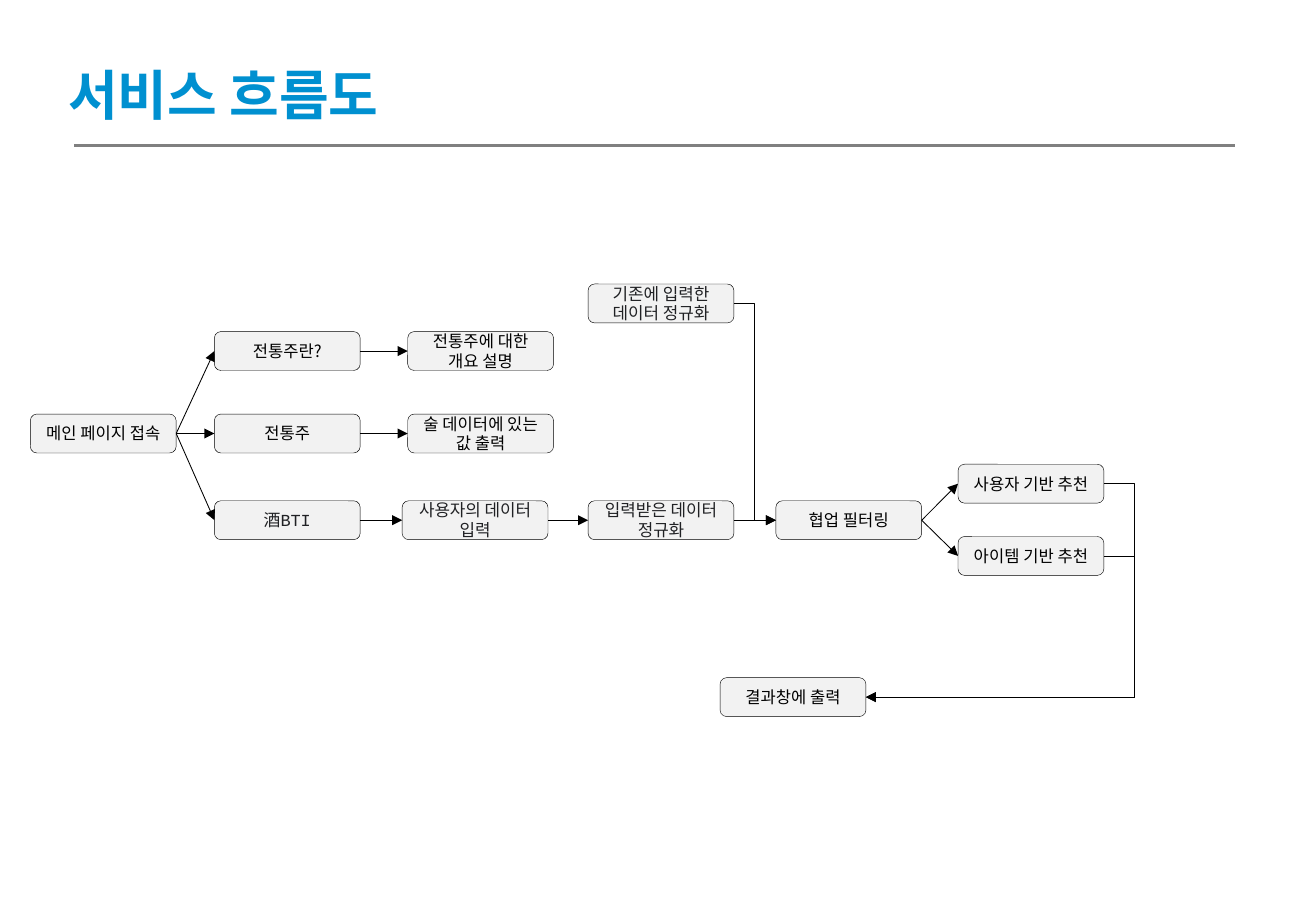
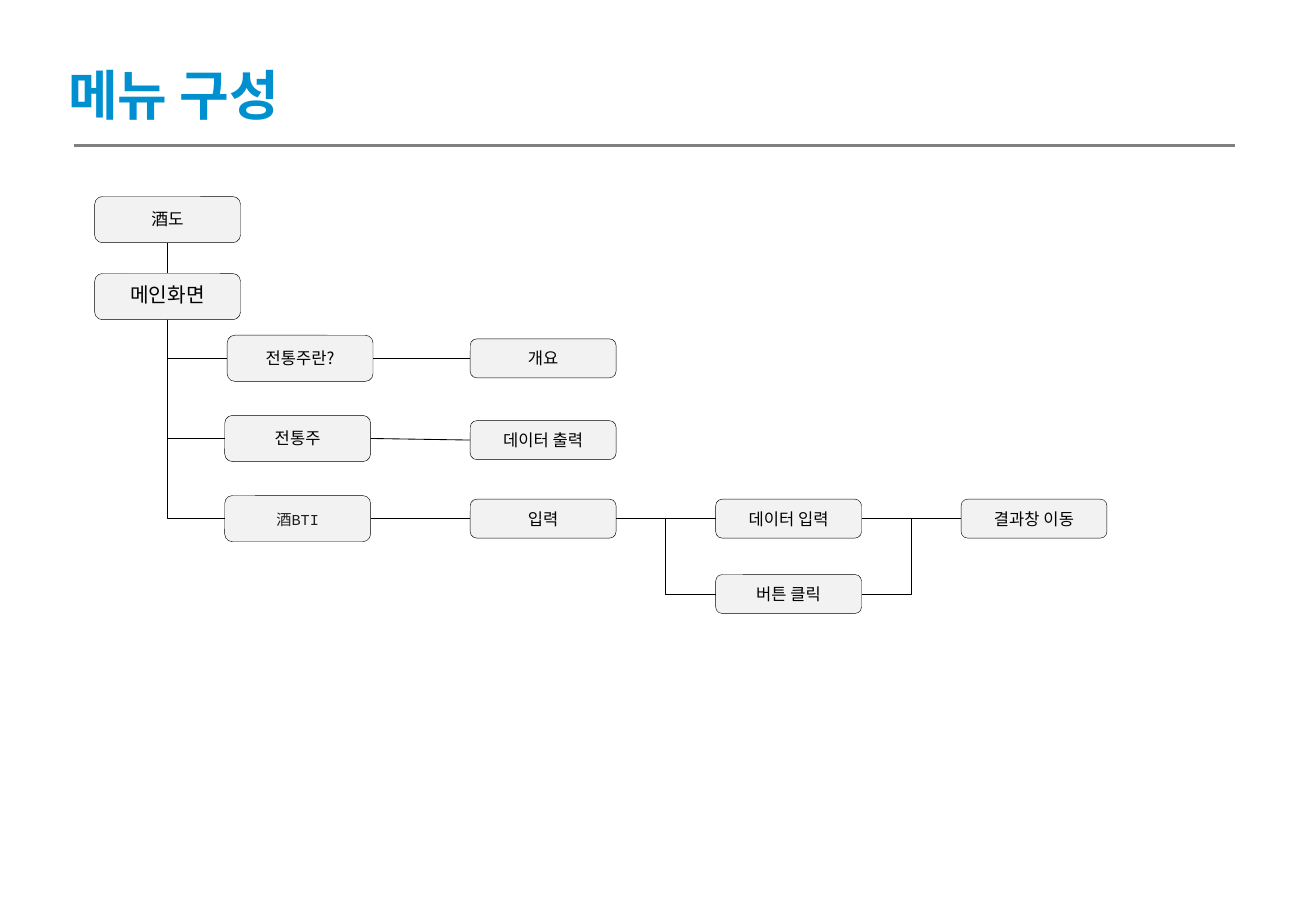
"""Build the service flow and menu structure slides."""
import dataclasses
import typing

import lxml.etree
import pptx
import pptx.dml.color
import pptx.enum.shapes
import pptx.enum.text
import pptx.oxml.ns
import pptx.util

SLIDE_WIDTH, SLIDE_HEIGHT = 10.83, 7.5
BOX_WIDTH = 1.2
LOW, TALL = 0.32, 0.38
TITLE_COLOR, RULE_COLOR = "0090D0", "808080"
BOX_COLOR, BLACK, CHARCOAL = "F2F2F2", "000000", "202124"
KOREAN_FONT, MONO_FONT, TITLE_FONT = "Noto Sans CJK KR", "Courier New", "Calibri"
TOP, LEFT, BOTTOM, RIGHT = range(4)
STRAIGHT = pptx.enum.shapes.MSO_CONNECTOR.STRAIGHT
ELBOW = pptx.enum.shapes.MSO_CONNECTOR.ELBOW
qn = pptx.oxml.ns.qn


@dataclasses.dataclass(frozen=True)
class Label:
    font: str = KOREAN_FONT
    size: float = 9.8
    color: str = BLACK


PLAIN = Label()
MONO = Label(MONO_FONT, 10, CHARCOAL)


@dataclasses.dataclass(frozen=True)
class Step:
    text: str
    column: float
    row: float
    label: Label = PLAIN
    height: float = LOW


@dataclasses.dataclass(frozen=True)
class Link:
    start: str
    end: str
    bent: bool = False
    start_side: int = RIGHT
    end_side: int = LEFT
    bend: typing.Optional[float] = None


@dataclasses.dataclass(frozen=True)
class Grid:
    left: float
    middle: float
    column: float
    row: float


@dataclasses.dataclass(frozen=True)
class Diagram:
    title: str
    grid: Grid
    steps: dict[str, Step]
    links: list[Link]
    arrows: bool


SERVICE_FLOW = Diagram(
    "서비스 흐름도",
    Grid(0.25, 2.89, 1.53, 0.7),
    {
        "main": Step("메인 페이지 접속", 0, 0.97),
        "about": Step("전통주란?", 0.99, 0),
        "liquor": Step("전통주", 0.99, 0.97),
        "bti": Step("酒BTI", 0.99, 1.99, MONO),
        "overview": Step("전통주에 대한 개요 설명", 2.03, 0),
        "values": Step("술 데이터에 있는 값 출력", 2.03, 0.97),
        "entry": Step("사용자의 데이터 입력", 2, 1.99, MONO),
        "received": Step("입력받은 데이터 정규화", 3, 1.99, MONO),
        "existing": Step("기존에 입력한 데이터 정규화", 3, -0.56, MONO),
        "filtering": Step("협업 필터링", 4.01, 1.99),
        "user_based": Step("사용자 기반 추천", 4.99, 1.56),
        "item_based": Step("아이템 기반 추천", 4.99, 2.41),
        "result": Step("결과창에 출력", 3.71, 4.07),
    },
    [
        Link("main", "about"),
        Link("main", "liquor"),
        Link("main", "bti"),
        Link("about", "overview"),
        Link("liquor", "values"),
        Link("bti", "entry"),
        Link("entry", "received"),
        Link("existing", "filtering", True),
        Link("received", "filtering"),
        Link("filtering", "user_based"),
        Link("filtering", "item_based"),
        Link("user_based", "result", True, end_side=RIGHT, bend=-0.13),
        Link("item_based", "result", True, end_side=RIGHT, bend=-0.13),
    ],
    True,
)

MENU = Diagram(
    "메뉴 구성",
    Grid(1.85, 2.95, 2.02, 0.66),
    {
        "brand": Step("酒도", -0.53, -1.73, Label(MONO_FONT, 10), TALL),
        "main": Step("메인화면", -0.53, -0.77, Label(MONO_FONT, 12), TALL),
        "about": Step("전통주란?", 0.01, 0, PLAIN, TALL),
        "liquor": Step("전통주", 0, 1, PLAIN, TALL),
        "bti": Step("酒BTI", 0, 2, Label(MONO_FONT, 9, CHARCOAL), TALL),
        "overview": Step("개요", 1, 0),
        "listing": Step("데이터 출력", 1, 1.02),
        "entry": Step("입력", 1, 2),
        "data_entry": Step("데이터 입력", 2, 2),
        "click": Step("버튼 클릭", 2, 2.94),
        "result": Step("결과창 이동", 3, 2),
    },
    [
        Link("brand", "main", start_side=BOTTOM, end_side=TOP),
        Link("main", "about", True, BOTTOM),
        Link("main", "liquor", True, BOTTOM),
        Link("main", "bti", True, BOTTOM),
        Link("about", "overview"),
        Link("liquor", "listing"),
        Link("bti", "entry"),
        Link("entry", "data_entry"),
        Link("data_entry", "result"),
        Link("entry", "click", True),
        Link("click", "result", True),
    ],
    False,
)


def rgb(color: str) -> pptx.dml.color.RGBColor:
    return pptx.dml.color.RGBColor.from_string(color)


def format_text(frame, label: Label, bold: bool = False) -> None:
    for paragraph in frame.paragraphs:
        for run in paragraph.runs:
            run.font.name = label.font
            run.font.size = pptx.util.Pt(label.size)
            run.font.bold = bold
            run.font.color.rgb = rgb(label.color)
            latin = run.font._element.find(qn("a:latin"))
            east_asian = lxml.etree.Element(qn("a:ea"), typeface=KOREAN_FONT)
            latin.addnext(east_asian)


def style_line(connector, color: str, width: float, arrow: bool = False) -> None:
    connector.line.color.rgb = rgb(color)
    connector.line.width = pptx.util.Pt(width)
    properties = connector.element.spPr
    if arrow:
        line = properties.find(qn("a:ln"))
        lxml.etree.SubElement(line, qn("a:tailEnd"), type="triangle")
    lxml.etree.SubElement(properties, qn("a:effectLst"))


def add_heading(slide, text: str) -> None:
    title = slide.shapes.title
    title.left, title.top = pptx.util.Inches(0.46), pptx.util.Inches(0.45)
    title.width, title.height = pptx.util.Inches(9.7), pptx.util.Inches(0.64)
    frame = title.text_frame
    frame.text = text
    frame.auto_size = pptx.enum.text.MSO_AUTO_SIZE.NONE
    frame.vertical_anchor = pptx.enum.text.MSO_ANCHOR.MIDDLE
    frame.paragraphs[0].alignment = pptx.enum.text.PP_ALIGN.LEFT
    format_text(frame, Label(TITLE_FONT, 32, TITLE_COLOR), True)
    rule = slide.shapes.add_connector(
        STRAIGHT, *map(pptx.util.Inches, (0.61, 1.2, 10.16, 1.2))
    )
    style_line(rule, RULE_COLOR, 1.5)


def add_step(slide, grid: Grid, step: Step):
    left = grid.left + step.column * grid.column
    top = grid.middle + step.row * grid.row - step.height / 2
    box = slide.shapes.add_shape(
        pptx.enum.shapes.MSO_SHAPE.ROUNDED_RECTANGLE,
        *map(pptx.util.Inches, (left, top, BOX_WIDTH, step.height)),
    )
    box.shadow.inherit = False
    box.fill.solid()
    box.fill.fore_color.rgb = rgb(BOX_COLOR)
    box.line.color.rgb = rgb(BLACK)
    box.line.width = pptx.util.Pt(0.25)
    frame = box.text_frame
    frame.text = step.text
    frame.word_wrap = True
    frame.vertical_anchor = pptx.enum.text.MSO_ANCHOR.MIDDLE
    frame.paragraphs[0].alignment = pptx.enum.text.PP_ALIGN.CENTER
    frame.paragraphs[0].line_spacing = pptx.util.Pt(11.5)
    format_text(frame, step.label)
    return box


def turn_corner(connector) -> None:
    start_x, start_y = connector.begin_x, connector.begin_y
    end_x, end_y = connector.end_x, connector.end_y
    center_x, center_y = (start_x + end_x) // 2, (start_y + end_y) // 2
    half_run, half_rise = (end_y - start_y) // 2, (end_x - start_x) // 2
    connector.begin_x, connector.end_x = center_x + half_run, center_x - half_run
    connector.begin_y, connector.end_y = center_y - half_rise, center_y + half_rise
    properties = connector.element.spPr
    properties.find(qn("a:xfrm")).set("rot", str(270 * 60000))
    properties.find(qn("a:prstGeom")).set("prst", "bentConnector2")


def add_link(slide, boxes: dict, link: Link, arrow: bool) -> None:
    connector = slide.shapes.add_connector(ELBOW if link.bent else STRAIGHT, 0, 0, 0, 0)
    connector.begin_connect(boxes[link.start], link.start_side)
    connector.end_connect(boxes[link.end], link.end_side)
    if link.bent and link.start_side == BOTTOM:
        turn_corner(connector)
    if link.bend is not None:
        guides = connector.element.spPr.find(qn("a:prstGeom")).find(qn("a:avLst"))
        position = f"val {round(link.bend * 100000)}"
        lxml.etree.SubElement(guides, qn("a:gd"), name="adj1", fmla=position)
    style_line(connector, BLACK, 0.5, arrow)


def add_diagram(deck, diagram: Diagram) -> None:
    slide = deck.slides.add_slide(deck.slide_layouts.get_by_name("Title Only"))
    add_heading(slide, diagram.title)
    boxes = {
        key: add_step(slide, diagram.grid, step) for key, step in diagram.steps.items()
    }
    for link in diagram.links:
        add_link(slide, boxes, link, diagram.arrows)


def main() -> None:
    deck = pptx.Presentation()
    deck.slide_width = pptx.util.Inches(SLIDE_WIDTH)
    deck.slide_height = pptx.util.Inches(SLIDE_HEIGHT)
    for diagram in (SERVICE_FLOW, MENU):
        add_diagram(deck, diagram)
    deck.save("out.pptx")


if __name__ == "__main__":
    main()
